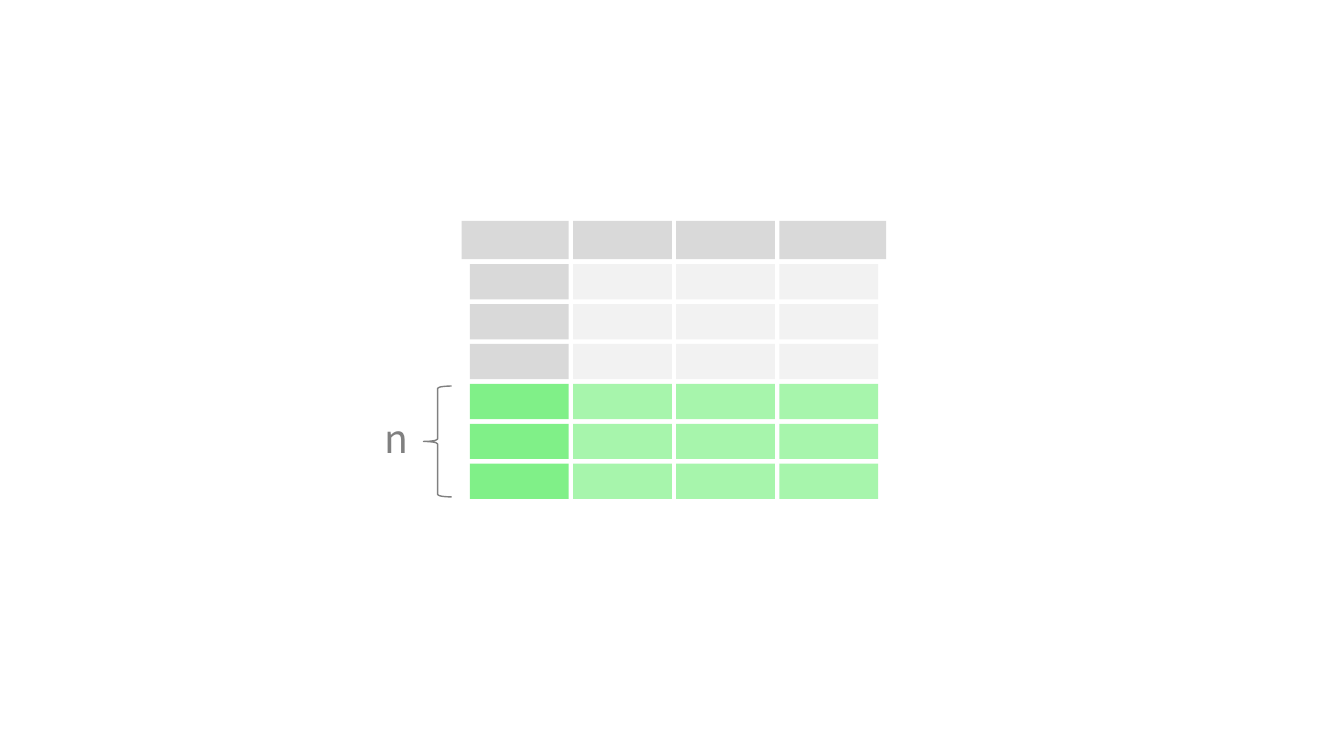
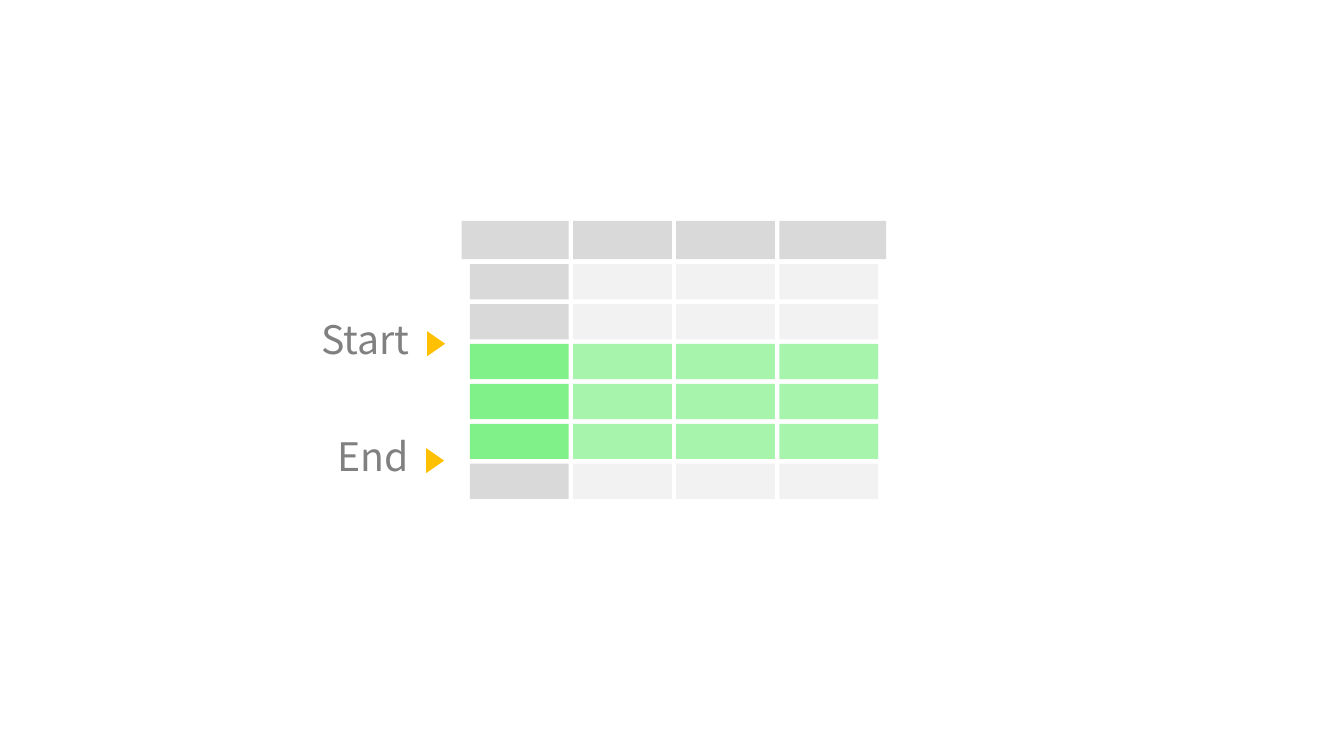
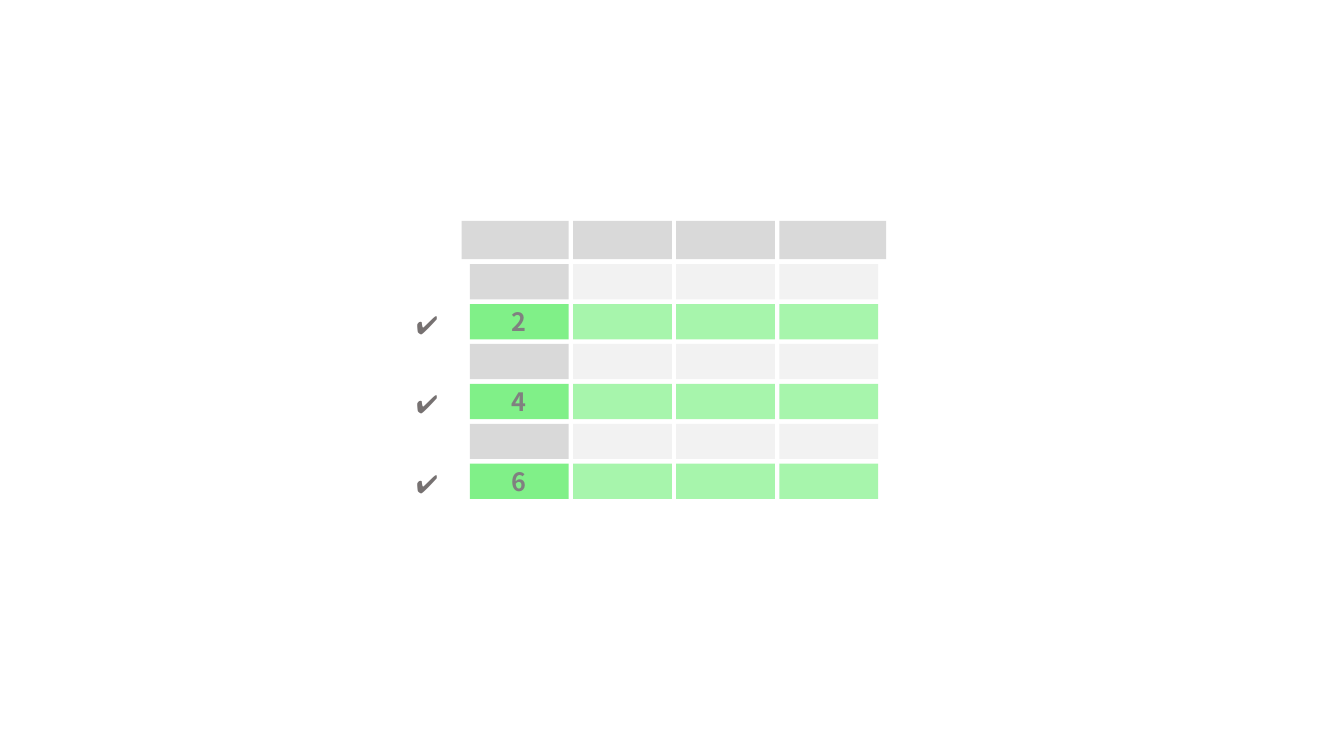
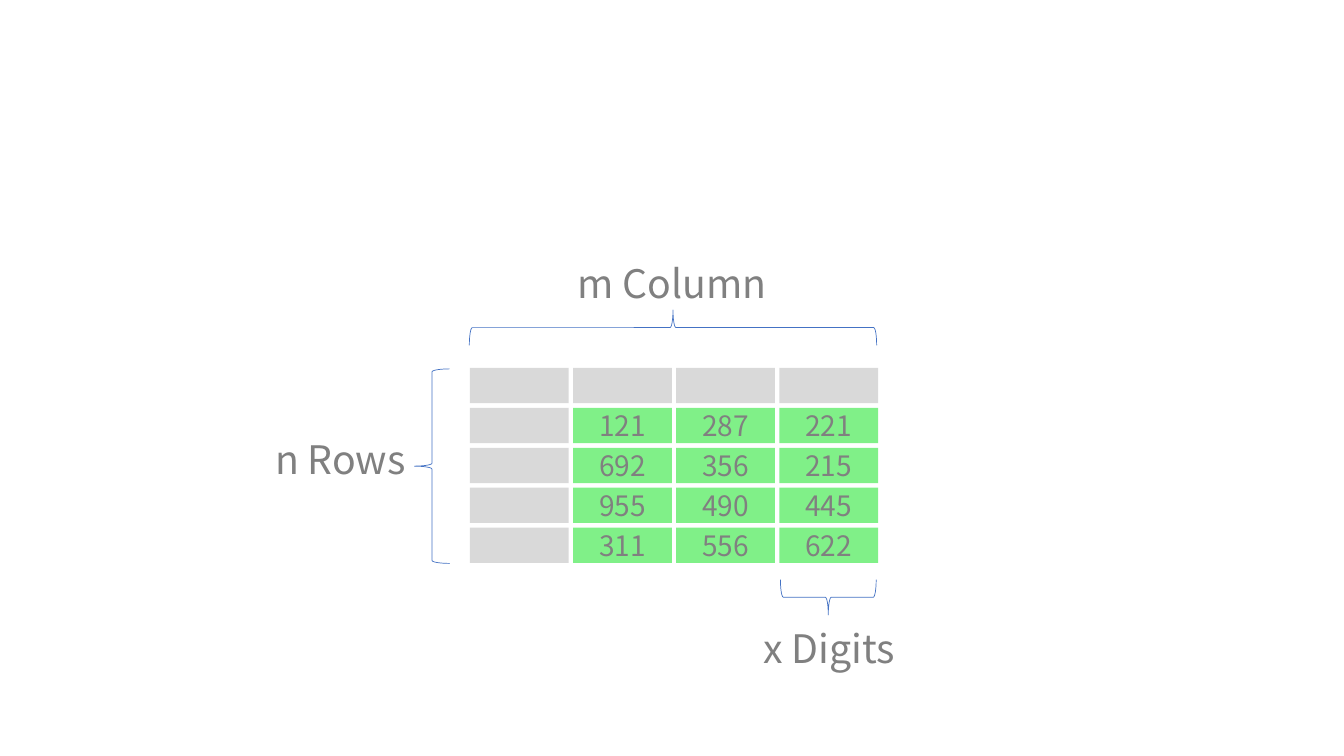
from pptx import Presentation
from pptx.dml.color import RGBColor
from pptx.enum import shapes, text
from pptx.oxml import xmlchemy
from pptx.util import Inches, Pt
from lxml import etree
from pptx.oxml.ns import qn

# Shared style
HEADER_GRAY = RGBColor(0xD9, 0xD9, 0xD9)
CELL_GRAY = RGBColor(0xF2, 0xF2, 0xF2)
GREEN = RGBColor(0x03, 0xE3, 0x13)
LABEL_GRAY = RGBColor(0x80, 0x80, 0x80)
CHECK_GRAY = RGBColor(0x76, 0x71, 0x71)
AMBER = RGBColor(0xFF, 0xC0, 0x00)
BLUE = RGBColor(0x44, 0x72, 0xC4)
FONT = "Noto Sans CJK SC"
STRONG, SOFT = 50, 35  # opacity of selected cells, percent

# Grid of the data frame, in inches
COLUMNS = 4
CELL_W, CELL_H = 0.98, 0.35
LEFT, COLUMN_STEP = 4.66, (7.73 - 4.66) / 3
BODY_TOP, ROW_STEP = 2.62, (4.60 - 2.62) / 5
HEADER_TOP, HEADER_H, OVERHANG = 2.19, 0.38, 0.08
BODY_ROWS = 6

ALIGN = text.PP_ALIGN
SHAPE = shapes.MSO_SHAPE


def column_left(column):
    return LEFT + column * COLUMN_STEP


def row_top(row, top=BODY_TOP):
    return top + row * ROW_STEP


def write(frame, words, size, align, color=LABEL_GRAY, font=FONT, bold=False):
    paragraph = frame.paragraphs[0]
    paragraph.text = words
    paragraph.alignment = align
    paragraph.font.name = font
    paragraph.font.size = Pt(size)
    paragraph.font.bold = bold
    paragraph.font.color.rgb = color


def add_shape(slide, kind, left, top, width, height, fill=None, rotation=0):
    shape = slide.shapes.add_shape(
        kind, Inches(left), Inches(top), Inches(width), Inches(height))
    shape.shadow.inherit = False
    shape.rotation = rotation
    shape.line.fill.background()
    if fill is None:
        shape.fill.background()
    else:
        shape.fill.solid()
        shape.fill.fore_color.rgb = fill
    return shape


def add_cell(slide, left, top, fill, width=CELL_W, height=CELL_H,
             opacity=100, words="", size=18, bold=False):
    cell = add_shape(slide, SHAPE.RECTANGLE, left, top, width, height, fill)
    if opacity < 100:
        color = cell.fill._xPr.find(qn("a:solidFill"))[0]
        etree.SubElement(color, qn("a:alpha"), val=str(opacity * 1000))
    if words:
        cell.text_frame.vertical_anchor = text.MSO_ANCHOR.MIDDLE
        write(cell.text_frame, words, size, ALIGN.CENTER, bold=bold)


def add_brace(slide, left, top, width, height, color, weight, rotation=0):
    brace = add_shape(slide, SHAPE.LEFT_BRACE, left, top, width, height,
                      rotation=rotation)
    brace.line.color.rgb = color
    brace.line.width = Pt(weight)


def add_label(slide, words, left, top, width, height=0.57, size=28,
              align=ALIGN.CENTER, wrap=True, **style):
    box = slide.shapes.add_textbox(
        Inches(left), Inches(top), Inches(width), Inches(height))
    box.text_frame.word_wrap = wrap
    box.text_frame.auto_size = text.MSO_AUTO_SIZE.SHAPE_TO_FIT_TEXT
    write(box.text_frame, words, size, align, **style)


def add_marker(slide, words, right, top):
    """Row label with an amber pointer at its right."""
    add_label(slide, words, right - 1.98, top, 1.98, align=ALIGN.RIGHT)
    add_shape(slide, SHAPE.ISOSCELES_TRIANGLE, right + 0.04, top + 0.24,
              0.25, 0.18, AMBER, rotation=90)


def add_frame(slide, selected, numbered=False):
    """Data frame with a header; selected holds body rows counted from 0."""
    for column in range(COLUMNS):
        first, last = column == 0, column == COLUMNS - 1
        add_cell(slide, column_left(column) - OVERHANG * first, HEADER_TOP,
                 HEADER_GRAY, CELL_W + OVERHANG * (first or last), HEADER_H)
        for row in range(BODY_ROWS):
            left, top = column_left(column), row_top(row)
            if row in selected:
                words = str(row + 1) if numbered and first else ""
                add_cell(slide, left, top, GREEN, words=words, bold=True,
                         opacity=STRONG if first else SOFT)
            else:
                add_cell(slide, left, top, HEADER_GRAY if first else CELL_GRAY)


def last_rows(slide):
    add_frame(slide, range(3, 6))
    add_brace(slide, 4.2, 3.83, 0.28, 1.1, LABEL_GRAY, 1)
    add_label(slide, "n", 2.41, 4.06, 1.74, align=ALIGN.RIGHT)


def row_range(slide):
    add_frame(slide, range(2, 5))
    add_marker(slide, "Start", 4.16, 3.08)
    add_marker(slide, "End", 4.15, 4.24)


def even_rows(slide):
    checked = range(1, BODY_ROWS, 2)
    add_frame(slide, checked, numbered=True)
    for row in checked:
        add_label(slide, "✔", 4.03, row_top(row), 0.54, 0.4, 18, ALIGN.LEFT,
                  wrap=False, color=CHECK_GRAY, font="Times New Roman",
                  bold=True)


def display_limits(slide):
    values = [
        ("", "", "", ""),
        ("", "121", "287", "221"),
        ("", "692", "356", "215"),
        ("", "955", "490", "445"),
        ("", "311", "556", "622"),
    ]
    add_label(slide, "n Rows", 1.15, 4.27, 4.45)
    for row, numbers in enumerate(values):
        for column, number in enumerate(numbers):
            add_cell(slide, column_left(column), row_top(row, 3.65),
                     GREEN if number else HEADER_GRAY, words=number, size=20,
                     opacity=STRONG if number else 100)
    add_brace(slide, 4.11, 3.66, 0.35, 1.93, BLUE, 0.5)
    add_label(slide, "m Column", 4.44, 2.52, 4.45)
    add_brace(slide, 6.5, 1.23, 0.35, 4.04, BLUE, 0.5, rotation=90)
    add_label(slide, "x Digits", 6, 6.14, 4.45)
    add_brace(slide, 8.04, 5.45, 0.35, 0.95, BLUE, 0.5, rotation=270)


def main():
    deck = Presentation()
    deck.slide_width, deck.slide_height = Inches(13.33), Inches(7.5)
    for draw in (last_rows, row_range, even_rows, display_limits):
        draw(deck.slides.add_slide(deck.slide_layouts[6]))
    deck.save("out.pptx")


if __name__ == "__main__":
    main()
